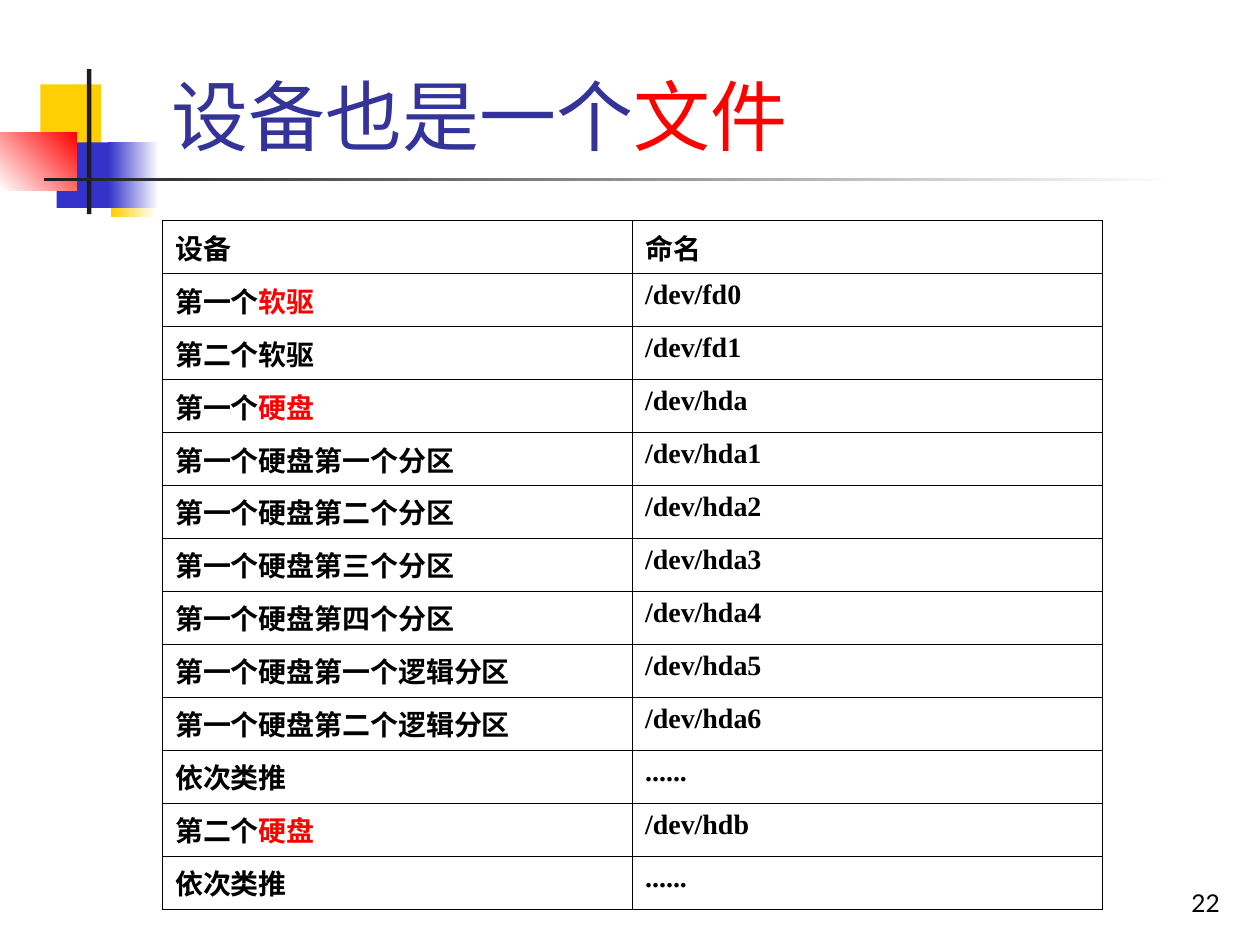
"""Build a slide with a table of Linux device names."""
from lxml import etree
from pptx import Presentation, util as u
from pptx.dml.color import RGBColor
from pptx.enum import shapes, text
from pptx.oxml.ns import qn

deck = Presentation()
deck.slide_width, deck.slide_height = u.Inches(10), u.Inches(7.5)
slide = deck.slides.add_slide(deck.slide_layouts[5])


def area(*box):
    sides = (deck.slide_width, deck.slide_height) * 2
    return [round(side * share / 100) for side, share in zip(sides, box)]


def write(para, words, size, face, hue, bold=False):
    for part, tint in zip(words.split("|"), (hue, "FF0000")):
        run = para.add_run()
        run.text = part
        run.font.size, run.font.name, run.font.bold = u.Pt(size), face, bold
        run.font.color.rgb = RGBColor.from_string(tint)


blocks = [
    ((3.2, 8.93, 4.8, 6.93), ["FFCF01"], 0),
    ((8.8, 16, 3.6, 6.93), ["FFFFFF", "FFCF01"], 180),
    ((4.5, 15.07, 4.6, 6.93), ["3333CC"], 0),
    ((8.6, 15.07, 4, 6.93), ["FFFFFF", "3333CC"], 180),
    ((0, 14, 6.1, 6.13), ["FF0000", "FFFFFF"], 225),
    ((6.9, 7.33, 0.35, 15.33), ["1C1C1C"], 0),
    ((3.5, 18.8, 90, 0.4), ["FFFFFF", "1C1C1C"], 180),
]
for box, hues, angle in blocks:
    block = slide.shapes.add_shape(shapes.MSO_SHAPE.RECTANGLE, *area(*box))
    block.shadow.inherit = False
    block.line.fill.background()
    if len(hues) == 1:
        block.fill.solid()
        block.fill.fore_color.rgb = RGBColor.from_string(hues[0])
    else:
        block.fill.gradient()
        block.fill.gradient_angle = angle
        for spot, (stop, hue) in enumerate(zip(block.fill.gradient_stops, hues)):
            stop.position = spot
            stop.color.rgb = RGBColor.from_string(hue)

title = slide.shapes.title
title.left, title.top, title.width, title.height = area(12.6, 3.07, 85.2, 14.67)
title.text_frame.auto_size = text.MSO_AUTO_SIZE.NONE
title.text_frame.vertical_anchor = text.MSO_ANCHOR.BOTTOM
head = title.text_frame.paragraphs[0]
head.alignment = text.PP_ALIGN.LEFT
write(head, "设备也是一个|文件", 44, "Lato", "333399")

rows = [
    ("设备", "命名"),
    ("第一个|软驱", "/dev/fd0"),
    ("第二个软驱", "/dev/fd1"),
    ("第一个|硬盘", "/dev/hda"),
    ("第一个硬盘第一个分区", "/dev/hda1"),
    ("第一个硬盘第二个分区", "/dev/hda2"),
    ("第一个硬盘第三个分区", "/dev/hda3"),
    ("第一个硬盘第四个分区", "/dev/hda4"),
    ("第一个硬盘第一个逻辑分区", "/dev/hda5"),
    ("第一个硬盘第二个逻辑分区", "/dev/hda6"),
    ("依次类推", "......"),
    ("第二个|硬盘", "/dev/hdb"),
    ("依次类推", "......"),
]
grid = slide.shapes.add_table(len(rows), 2, *area(12.9, 23.33, 74.6, 68.93)).table
grid.first_row = grid.horz_banding = False
for row, pair in enumerate(rows):
    for col, words in enumerate(pair):
        cell = grid.cell(row, col)
        cell.fill.background()
        write(cell.text_frame.paragraphs[0], words, 16, "Times New Roman", "000000", True)
        props = cell._tc.get_or_add_tcPr()
        for spot, side in enumerate(("a:lnL", "a:lnR", "a:lnT", "a:lnB")):
            edge = etree.Element(qn(side), w=str(u.Pt(0.45)))
            fill = etree.SubElement(edge, qn("a:solidFill"))
            etree.SubElement(fill, qn("a:srgbClr"), val="000000")
            props.insert(spot, edge)

page = slide.shapes.add_textbox(*area(77, 91.07, 20.8, 6.67)).text_frame
page.word_wrap = True
page.vertical_anchor = text.MSO_ANCHOR.BOTTOM
page.paragraphs[0].alignment = text.PP_ALIGN.RIGHT
write(page.paragraphs[0], "22", 14, "Lato", "000000")

deck.save("out.pptx")
